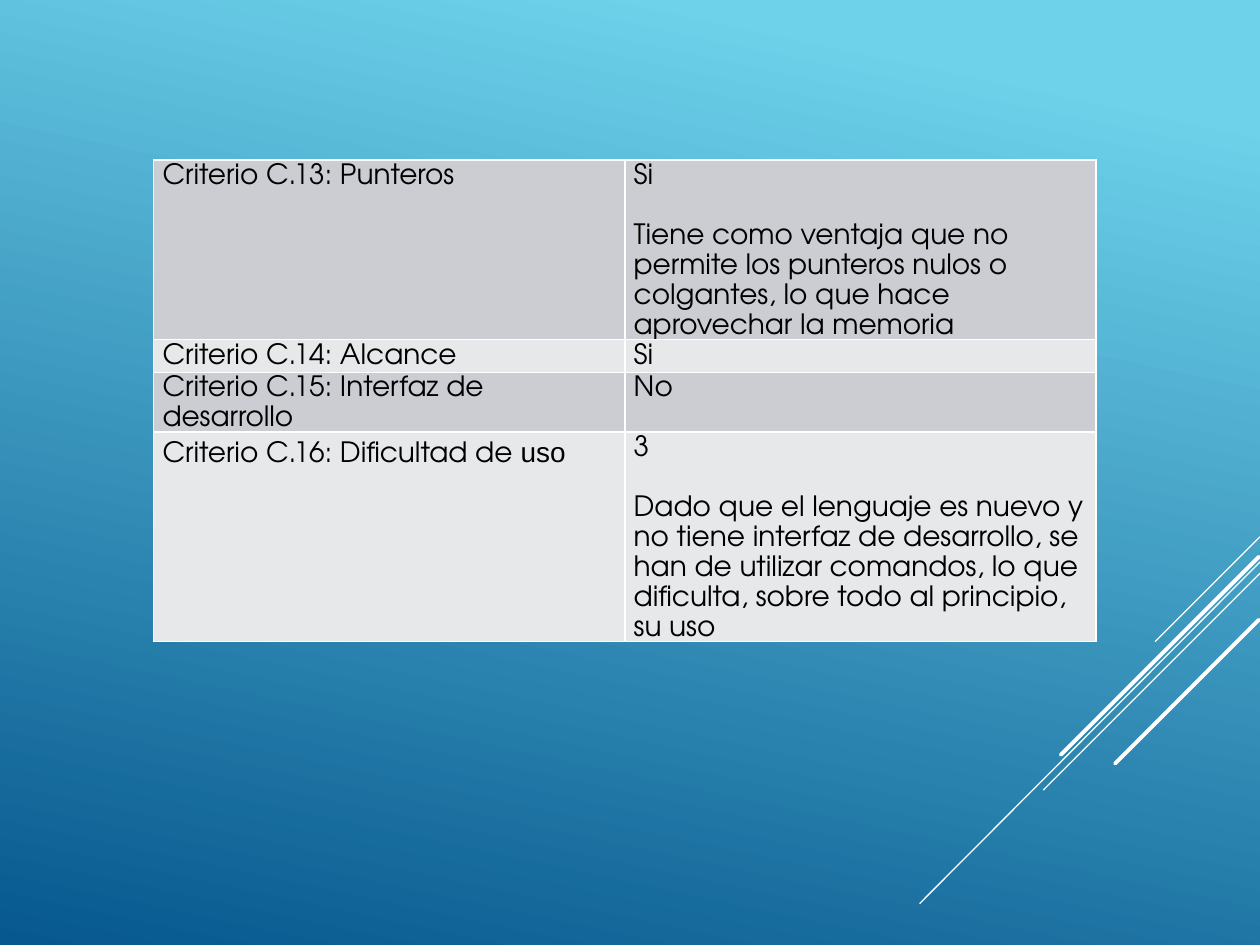
from lxml.etree import SubElement
from pptx import Presentation
from pptx.dml.color import RGBColor
from pptx.enum.shapes import MSO_CONNECTOR
from pptx.oxml import parse_xml
from pptx.oxml.ns import nsdecls, qn
from pptx.util import Inches, Pt

COLORS = {"sky": "6ED2EB", "deep": "06588E", "line": "FFFFFF",
          "text": "000000", "odd": "CCCDD2", "even": "E7E8EA"}
FONT = "TeX Gyre Adventor"
TEXT_SIZE = 16
PARAGRAPH_GAP = Pt(17.1)
MARGINS = {"margin_left": Inches(0.07), "margin_right": Inches(0.07),
           "margin_top": 0, "margin_bottom": 0}
DIAGONALS = [
    (10, 4.26, 9.17, 5.09, 0.75),
    (10, 4.46, 7.3, 7.17, 0.75),
    (10, 4.55, 8.28, 6.27, 0.75),
    (9.99, 4.42, 8.42, 5.99, 2.25),
    (9.99, 4.92, 8.85, 6.06, 2.25),
]
CRITERIA = [
    (1.32, [[("Criterio C.13: Punteros", FONT)]],
     [[("Si", FONT)],
      [("Tiene como ventaja que no permite los punteros nulos o colgantes, "
        "lo que hace aprovechar la memoria", FONT)]]),
    (0.26, [[("Criterio C.14: Alcance", FONT)]], [[("Si", FONT)]]),
    (0.26, [[("Criterio C.15: Interfaz de desarrollo", FONT)]], [[("No", FONT)]]),
    (1.58, [[("Criterio C.16: Dificultad de ", FONT), ("uso", "Arial")]],
     [[("3", FONT)],
      [("Dado que el lenguaje es nuevo y no tiene interfaz de desarrollo, "
        "se han de utilizar comandos, lo que dificulta, sobre todo al "
        "principio, su uso", FONT)]]),
]


def rgb(name):
    return RGBColor.from_string(COLORS[name])


def paint_background(s):
    fill = s.background.fill
    fill.gradient()
    fill.gradient_angle = 360 - 102
    for stop, name, position in zip(fill.gradient_stops, ("sky", "deep"), (0.1, 1)):
        stop.color.rgb = rgb(name)
        stop.position = position


def add_diagonals(s, lines):
    for x1, y1, x2, y2, width in lines:
        line = s.shapes.add_connector(
            MSO_CONNECTOR.STRAIGHT, *(Inches(v) for v in (x1, y1, x2, y2)))
        line.line.color.rgb = rgb("line")
        line.line.width = Pt(width)
        props = line.element.spPr
        props.find(qn("a:ln")).set("cap", "rnd")
        SubElement(props, qn("a:effectLst"))


def add_borders(cell):
    props = cell._tc.get_or_add_tcPr()
    for i, side in enumerate("LRTB"):
        props.insert(i, parse_xml(
            f'<a:ln{side} {nsdecls("a")} w="{Pt(1)}"><a:solidFill>'
            f'<a:srgbClr val="{COLORS["line"]}"/></a:solidFill></a:ln{side}>'))


def fill_cell(cell, paragraphs, color):
    for name, value in MARGINS.items():
        setattr(cell, name, value)
    cell.fill.solid()
    cell.fill.fore_color.rgb = rgb(color)
    add_borders(cell)
    tf = cell.text_frame
    for i, runs in enumerate(paragraphs):
        p = tf.add_paragraph() if i else tf.paragraphs[0]
        p.line_spacing = 1.15
        p.space_before = PARAGRAPH_GAP if i else Pt(0)
        for text, font in runs:
            r = p.add_run()
            r.text = text
            for name, value in {"name": font, "size": Pt(TEXT_SIZE),
                                "bold": False}.items():
                setattr(r.font, name, value)
            r.font.color.rgb = rgb("text")


def add_criteria_table(s, left, top, width, rows):
    height = Inches(sum(row[0] for row in rows))
    table = s.shapes.add_table(len(rows), 2, left, top, width, height).table
    for column in table.columns:
        column.width = width // 2
    for i, (row_height, *cells) in enumerate(rows):
        table.rows[i].height = Inches(row_height)
        for j, paragraphs in enumerate(cells):
            fill_cell(table.cell(i, j), paragraphs, "even" if i % 2 else "odd")


def main():
    prs = Presentation()
    prs.slide_width, prs.slide_height = Inches(10), Inches(7.5)
    s = prs.slides.add_slide(prs.slide_layouts[6])
    paint_background(s)
    add_diagonals(s, DIAGONALS)
    add_criteria_table(s, Inches(1.22), Inches(1.27), Inches(7.48), CRITERIA)
    prs.save("out.pptx")


if __name__ == "__main__":
    main()
